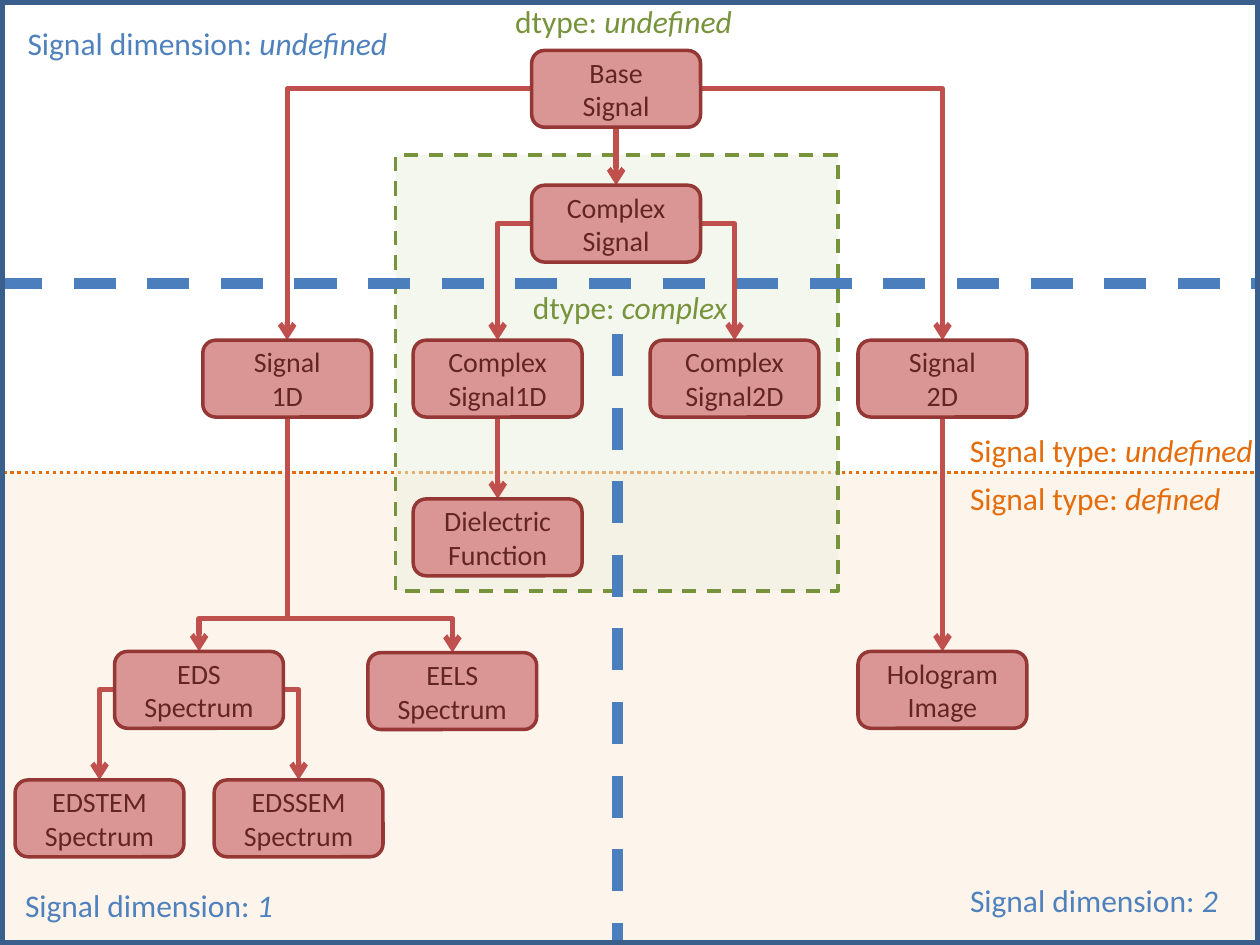
from lxml.etree import SubElement
from pptx import Presentation
from pptx.dml.color import RGBColor
from pptx.enum.dml import MSO_LINE
from pptx.enum.shapes import MSO_CONNECTOR, MSO_SHAPE
from pptx.enum.text import MSO_ANCHOR, MSO_AUTO_SIZE, PP_ALIGN
from pptx.oxml.ns import qn
from pptx.util import Inches, Pt

FONT = "Calibri"
BLUE, GREEN, ORANGE = "4F81BD", "77933C", "E46C0A"
DIVIDER, FRAME, ARROW = "4B7EBC", "3A5F8C", "C0504D"
BOX_FILL, BOX_LINE, BOX_TEXT = "D99694", "953735", "632523"
BOX_WIDTH, BOX_HEIGHT = 1.34, 0.61
TOP, LEFT, BOTTOM, RIGHT = range(4)  # connection sites of a box

# left, top, width, height, fill, line colour, line width, dash
REGIONS = [
    (0, 3.75, 10, 3.75, "FDEADA", ORANGE, 2, MSO_LINE.ROUND_DOT),
    (3.14, 1.23, 3.51, 3.46, "EBF1DE", GREEN, 2, MSO_LINE.DASH),
    (0, 0, 10, 7.5, None, FRAME, 6, None),
]
DIVIDERS = [(0, 2.25, 10, 2.25), (4.9, 2.65, 4.9, 7.5)]

# left, top, width, label, value, colour
LABELS = [
    (4.13, 2.24, 1.78, "dtype: ", "complex", GREEN),
    (3.99, -0.03, 1.97, "dtype: ", "undefined", GREEN),
    (0.12, 0.14, 3.12, "Signal dimension: ", "undefined", BLUE),
    (0.1, 6.98, 2.19, "Signal dimension: ", "1", BLUE),
    (7.6, 6.94, 2.19, "Signal dimension: ", "2", BLUE),
    (7.6, 3.37, 2.47, "Signal type: ", "undefined", ORANGE),
    (7.6, 3.75, 2.21, "Signal type: ", "defined", ORANGE),
]

# class: left, top, paragraphs
CLASSES = {
    "base": (4.22, 0.4, ["Base", "Signal"]),
    "complex": (4.22, 1.47, ["Complex", "Signal"]),
    "signal1d": (1.61, 2.7, ["Signal", "1D"]),
    "complex1d": (3.28, 2.7, ["Complex Signal1D"]),
    "complex2d": (5.16, 2.7, ["Complex Signal2D"]),
    "signal2d": (6.81, 2.7, ["Signal", "2D"]),
    "dielectric": (3.28, 3.96, ["Dielectric", "Function"]),
    "eds": (0.91, 5.17, ["EDS", "Spectrum"]),
    "eels": (2.92, 5.18, ["EELS", "Spectrum"]),
    "hologram": (6.81, 5.17, ["Hologram", "Image"]),
    "edstem": (0.12, 6.19, ["EDSTEM", "Spectrum"]),
    "edssem": (1.7, 6.19, ["EDSSEM", "Spectrum"]),
}

# parent, side it leaves from, child
INHERITANCE = [
    ("base", LEFT, "signal1d"), ("base", BOTTOM, "complex"), ("base", RIGHT, "signal2d"),
    ("complex", LEFT, "complex1d"), ("complex", RIGHT, "complex2d"),
    ("complex1d", BOTTOM, "dielectric"), ("signal2d", BOTTOM, "hologram"),
    ("signal1d", BOTTOM, "eds"), ("signal1d", BOTTOM, "eels"),
    ("eds", LEFT, "edstem"), ("eds", RIGHT, "edssem"),
]
FORK_Y = 4.91  # height at which the two Signal 1D branches part

presentation = Presentation()
presentation.slide_width, presentation.slide_height = Inches(10), Inches(7.5)
slide = presentation.slides.add_slide(presentation.slide_layouts[6])
shapes = slide.shapes


def color(value):
    return RGBColor.from_string(value)


def style_line(line, value, width, dash=None):
    line.color.rgb = color(value)
    line.width = Pt(width)
    if dash is not None:
        line.dash_style = dash


def add_box(kind, left, top, width, height, fill, line_color, line_width, dash=None):
    shape = shapes.add_shape(kind, Inches(left), Inches(top), Inches(width), Inches(height))
    shape.shadow.inherit = False
    if fill:
        shape.fill.solid()
        shape.fill.fore_color.rgb = color(fill)
    else:
        shape.fill.background()
    style_line(shape.line, line_color, line_width, dash)
    return shape


def add_run(paragraph, text, size, value, italic=None):
    run = paragraph.add_run()
    run.text = text
    run.font.name, run.font.size, run.font.italic = FONT, Pt(size), italic
    run.font.color.rgb = color(value)


def add_line(kind, points, value, width, dash=None):
    connector = shapes.add_connector(kind, *points)
    style_line(connector.line, value, width, dash)
    SubElement(connector._element.spPr, qn("a:effectLst"))
    return connector


def fork(connector, begin, end):
    """Turn a three-part elbow so that it leaves downwards and bends at FORK_Y."""
    (x1, y1), (x2, y2) = begin, end
    length, spread = y2 - y1, abs(x2 - x1)
    connector.left = int((x1 + x2 - length) / 2)
    connector.top = int((y1 + y2 - spread) / 2)
    connector.width, connector.height = length, spread
    to_right = x2 > x1
    connector.rotation = 270 if to_right else 90
    properties = connector._element.spPr
    properties.find(qn("a:xfrm")).set("flipH", "1" if to_right else "0")
    adjustments = properties.find(qn("a:prstGeom")).get_or_add_avLst()
    bend = round((Inches(FORK_Y) - y1) / length * 100000)
    SubElement(adjustments, qn("a:gd"), name="adj1", fmla=f"val {bend}")


def site(box, side):
    x = {LEFT: box.left, RIGHT: box.left + box.width}.get(side, box.left + box.width // 2)
    y = {TOP: box.top, BOTTOM: box.top + box.height}.get(side, box.top + box.height // 2)
    return x, y


# Regions, dividers and frame
*areas, frame = REGIONS
for left, top, width, height, *look in areas:
    region = add_box(MSO_SHAPE.RECTANGLE, left, top, width, height, *look)
    fill_color = region._element.spPr.find(qn("a:solidFill"))[0]
    SubElement(fill_color, qn("a:alpha"), val="50000")
for divider in DIVIDERS:
    add_line(MSO_CONNECTOR.STRAIGHT, map(Inches, divider), DIVIDER, 6, MSO_LINE.DASH)
add_box(MSO_SHAPE.RECTANGLE, *frame)

# Labels
for left, top, width, label, value, label_color in LABELS:
    text_box = shapes.add_textbox(Inches(left), Inches(top), Inches(width), Inches(0.4))
    text_box.text_frame.word_wrap = False
    text_box.text_frame.auto_size = MSO_AUTO_SIZE.SHAPE_TO_FIT_TEXT
    paragraph = text_box.text_frame.paragraphs[0]
    add_run(paragraph, label, 18, label_color)
    add_run(paragraph, value, 18, label_color, italic=True)

# Class boxes
boxes = {}
for name, (left, top, texts) in CLASSES.items():
    box = add_box(MSO_SHAPE.ROUNDED_RECTANGLE, left, top, BOX_WIDTH, BOX_HEIGHT,
                  BOX_FILL, BOX_LINE, 2)
    frame_text = box.text_frame
    frame_text.word_wrap = True
    frame_text.vertical_anchor = MSO_ANCHOR.MIDDLE
    for index, text in enumerate(texts):
        paragraph = frame_text.add_paragraph() if index else frame_text.paragraphs[0]
        paragraph.alignment = PP_ALIGN.CENTER
        add_run(paragraph, text, 16, BOX_TEXT)
    boxes[name] = box

# Inheritance arrows, behind the boxes
for parent, side, child in INHERITANCE:
    begin, end = site(boxes[parent], side), site(boxes[child], TOP)
    straight = begin[0] == end[0]
    kind = MSO_CONNECTOR.STRAIGHT if straight else MSO_CONNECTOR.ELBOW
    arrow = add_line(kind, (*begin, *end), ARROW, 3)
    SubElement(arrow.line._get_or_add_ln(), qn("a:tailEnd"), type="arrow")
    arrow.begin_connect(boxes[parent], side)
    arrow.end_connect(boxes[child], TOP)
    if side != BOTTOM:
        arrow._element.spPr.find(qn("a:prstGeom")).set("prst", "bentConnector2")
    elif not straight:
        fork(arrow, begin, end)
    boxes["base"]._element.addprevious(arrow._element)

presentation.save("out.pptx")
